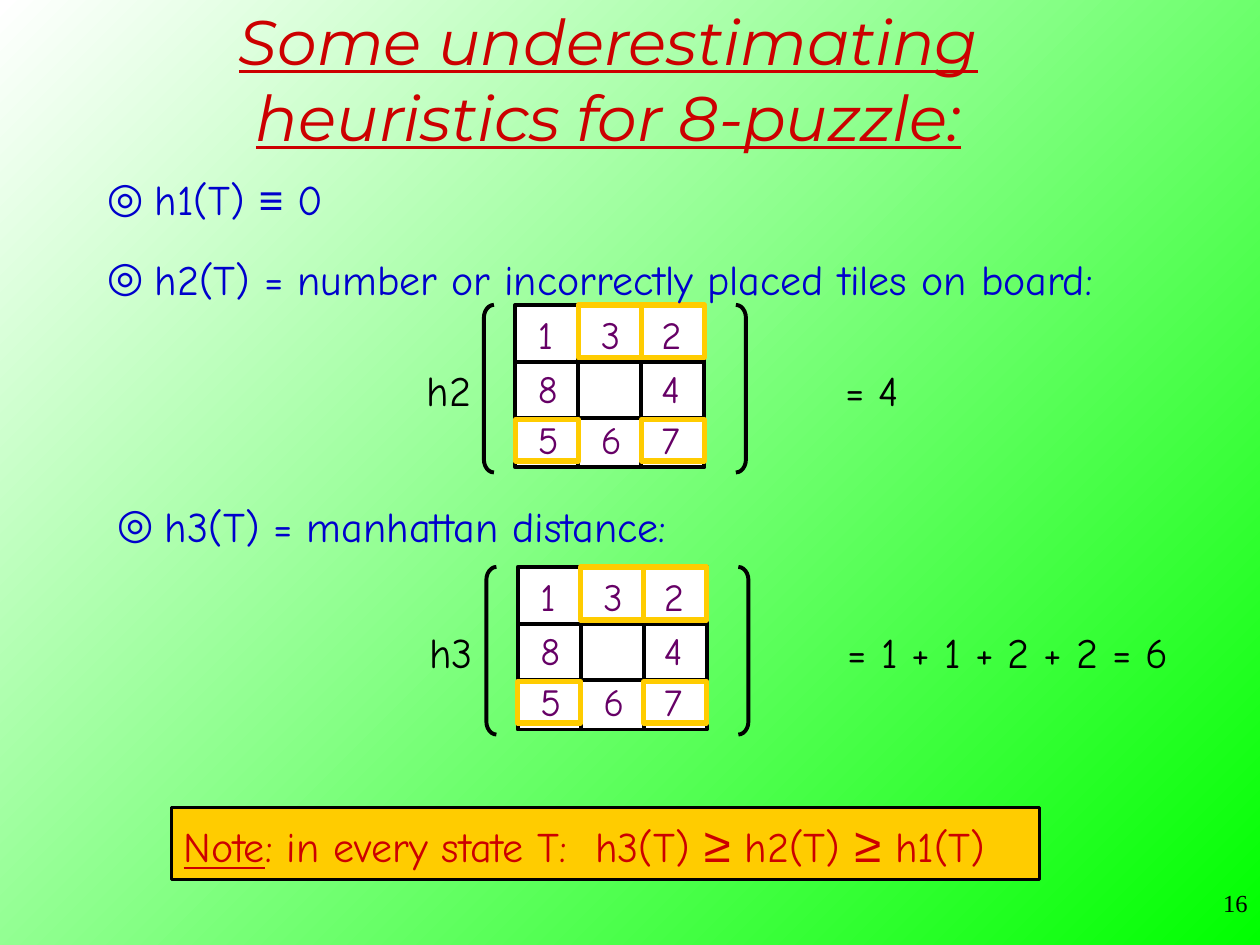
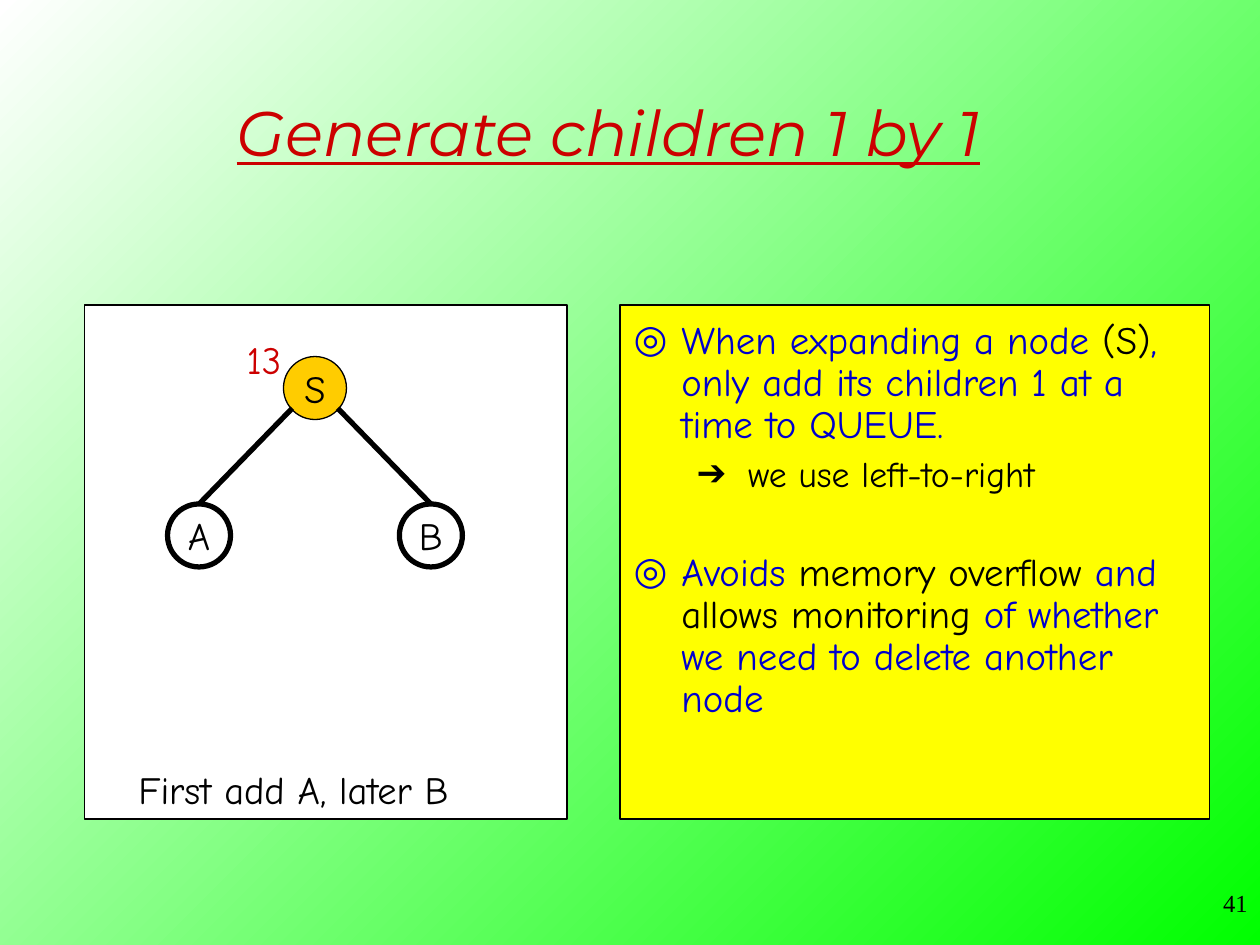
from dataclasses import dataclass
from pptx import Presentation
from pptx import util as u
from pptx.dml.color import RGBColor
from pptx.enum import shapes, text
from pptx.oxml import ns, xmlchemy

Inches, Pt = u.Inches, u.Pt


@dataclass(frozen=True)
class Theme:
    green: str = "00FF00"
    white: str = "FFFFFF"
    black: str = "000000"
    red: str = "CC0000"
    blue: str = "0000CC"
    purple: str = "660066"
    gold: str = "FFCC00"
    yellow: str = "FFFF00"
    title_font: str = "Montserrat"
    body_font: str = "Comic Neue"
    symbol_font: str = "Arial"
    number_font: str = "Times New Roman"
    title_size: float = 36
    body_size: float = 24
    symbol_size: float = 28
    label_size: float = 22
    panel_size: float = 22.2
    sub_size: float = 20.4
    number_size: float = 14


THEME = Theme()
SYMBOL = {"name": THEME.symbol_font}
LARGE_SYMBOL = {"name": THEME.symbol_font, "size": THEME.symbol_size}
BLACK = {"color": THEME.black}

HEURISTICS = [
    ((0.75, 1.33, 8.83, 0.5), 1.0, ["h1(T) ", ("≡", SYMBOL), " 0"]),
    ((0.75, 1.92, 8.83, 0.58), 1.1,
     ["h2(T) = number or incorrectly placed tiles on board:"]),
    ((0.83, 3.92, 8.83, 0.5), 1.0, ["h3(T) = manhattan distance:"]),
]
BOARDS = [
    (4.09, 2.42, "h2", "= 4", 0.8),
    (4.11, 4.5, "h3", "= 1 + 1 + 2 + 2 = 6", 3),
]
TILES = ["132", "8 4", "567"]
MISPLACED = [(0, 1), (0, 2), (2, 0), (2, 2)]
CELL_WIDTH, BOARD_HEIGHT = 0.5, 1.29
BOARD_WIDTH = 3 * CELL_WIDTH
ROW_LINES = (0.45, 0.9)
DIGIT_LEFTS, DIGIT_TOPS = (0.08, 0.58, 1.06), (0, 0.43, 0.83)
MARK_ROWS = {0: (0, 0.42), 2: (0.91, 0.33)}
NOTE = [("Note", {"underline": True}), ": in every state T:  h3(T) ",
        ("≥", LARGE_SYMBOL), " h2(T) ", ("≥", LARGE_SYMBOL), " h1(T)"]

NODE_SIZE = 0.5
ROOT = ("S", 2.25, 2.83)
CHILDREN = [("A", 1.33, 2.32), ("B", 3.17, 2.68)]
CHILD_TOP, EDGE_TOP = 4, 3.24
TREE_LABELS = [
    ("13", (1.86, 2.62, 0.6, 0.47), THEME.red),
    ("First add A, later B", (1, 6.03, 3, 0.47), THEME.black),
]
ADVICE = [
    ("◎", THEME.panel_size, THEME.blue, 0.38, 0.38, 0,
     ["When expanding a node ", ("(S)", BLACK),
      ", only add its children 1 at a time to QUEUE."]),
    ("➔", THEME.sub_size, THEME.black, 0.91, 0.41, 5.5,
     ["we use left-to-right"]),
    ("◎", THEME.panel_size, THEME.blue, 0.38, 0.38, 33,
     ["Avoids ", ("memory overflow", BLACK), " and ",
      ("allows monitoring", BLACK),
      " of whether we need to delete another node"]),
]


def style(font, name=None, size=None, color=None, underline=None, italic=None):
    if name:
        font.name = name
    if size:
        font.size = Pt(size)
    if color:
        font.color.rgb = RGBColor.from_string(color)
    if underline is not None:
        font.underline = underline
    if italic is not None:
        font.italic = italic


def write(paragraph, runs, **base):
    base = {"name": THEME.body_font, "color": THEME.black, **base}
    if all(isinstance(item, str) for item in runs):
        style(paragraph.font, **base)
    for item in runs:
        words, changes = (item, {}) if isinstance(item, str) else item
        run = paragraph.add_run()
        run.text = words
        if len(runs) > 1:
            style(run.font, **{**base, **changes})


def bullet(paragraph, mark, color, left, hanging):
    properties = paragraph._p.get_or_add_pPr()
    properties.set("marL", str(Inches(left)))
    properties.set("indent", str(-Inches(hanging)))
    bullet_color = xmlchemy.OxmlElement("a:buClr")
    rgb = xmlchemy.OxmlElement("a:srgbClr")
    rgb.set("val", color)
    bullet_color.append(rgb)
    font = xmlchemy.OxmlElement("a:buFont")
    font.set("typeface", THEME.body_font)
    character = xmlchemy.OxmlElement("a:buChar")
    character.set("char", mark)
    properties.extend([bullet_color, font, character])


def add_text(slide, box):
    frame = slide.shapes.add_textbox(*map(Inches, box)).text_frame
    frame.word_wrap = True
    return frame


def add_label(slide, box, words, **base):
    write(add_text(slide, box).paragraphs[0], [words], **base)


def add_shape(slide, kind, box, fill, line, width):
    shape = slide.shapes.add_shape(kind, *map(Inches, box))
    shape.shadow.inherit = False
    if fill:
        shape.fill.solid()
        shape.fill.fore_color.rgb = RGBColor.from_string(fill)
    else:
        shape.fill.background()
    shape.line.color.rgb = RGBColor.from_string(line)
    shape.line.width = Pt(width)
    return shape


def add_line(slide, start, end, width):
    line = slide.shapes.add_connector(
        shapes.MSO_CONNECTOR.STRAIGHT, *map(Inches, (*start, *end)))
    line.line.color.rgb = RGBColor.from_string(THEME.black)
    line.line.width = Pt(width)
    line._element.find(ns.qn("p:spPr")).append(
        xmlchemy.OxmlElement("a:effectLst"))
    return line


def add_slide(presentation, title, title_box, number):
    slide = presentation.slides.add_slide(presentation.slide_layouts[6])
    fill = slide.background.fill
    fill.gradient()
    fill.gradient_angle = 135
    for stop, color in zip(fill.gradient_stops, (THEME.green, THEME.white)):
        stop.color.rgb = RGBColor.from_string(color)
    frame = add_text(slide, title_box)
    frame.vertical_anchor = text.MSO_ANCHOR.MIDDLE
    paragraph = frame.paragraphs[0]
    paragraph.alignment = text.PP_ALIGN.CENTER
    write(paragraph, [title], name=THEME.title_font, size=THEME.title_size,
          color=THEME.red, underline=True, italic=True)
    paragraph = add_text(slide, (7.92, 7, 2.08, 0.5)).paragraphs[0]
    paragraph.alignment = text.PP_ALIGN.RIGHT
    write(paragraph, [number], name=THEME.number_font, size=THEME.number_size)
    return slide


def add_board(slide, left, top, name, value, value_width):
    for words, offset, width in ((name, -0.8, 0.7),
                                 (value, 2.52, value_width)):
        add_label(slide, (left + offset, top + 0.42, width, 0.5), words,
                  size=THEME.body_size)
    for kind, offset in ((shapes.MSO_SHAPE.LEFT_BRACKET, -0.25),
                         (shapes.MSO_SHAPE.RIGHT_BRACKET, 1.75)):
        bracket = add_shape(slide, kind, (left + offset, top, 0.08, 1.33),
                            None, THEME.black, 2.25)
        bracket.adjustments[0] = 1.3
    add_shape(slide, shapes.MSO_SHAPE.RECTANGLE,
              (left, top, BOARD_WIDTH, BOARD_HEIGHT),
              THEME.white, THEME.black, 2.25)
    for column in (1, 2):
        x = left + column * CELL_WIDTH
        add_line(slide, (x, top), (x, top + BOARD_HEIGHT), 2.25)
    for offset in ROW_LINES:
        add_line(slide, (left, top + offset),
                 (left + BOARD_WIDTH, top + offset), 2.25)
    for row, digits in zip(DIGIT_TOPS, TILES):
        for column, digit in zip(DIGIT_LEFTS, digits):
            if digit != " ":
                add_label(slide, (left + column, top + row, 0.4, 0.47), digit,
                          size=THEME.label_size, color=THEME.purple)
    for row, column in MISPLACED:
        offset, height = MARK_ROWS[row]
        add_shape(slide, shapes.MSO_SHAPE.RECTANGLE,
                  (left + column * CELL_WIDTH, top + offset,
                   CELL_WIDTH, height), None, THEME.gold, 3)


def add_node(slide, name, left, top, fill, width):
    node = add_shape(slide, shapes.MSO_SHAPE.OVAL,
                     (left, top, NODE_SIZE, NODE_SIZE),
                     fill, THEME.black, width)
    node.text_frame.word_wrap = False
    paragraph = node.text_frame.paragraphs[0]
    paragraph.alignment = text.PP_ALIGN.CENTER
    write(paragraph, [name], size=THEME.label_size)
    return node


def build_heuristics(presentation):
    slide = add_slide(presentation,
                      "Some underestimating heuristics for 8-puzzle:",
                      (0.58, 0.08, 8.5, 1.08), "16")
    for board in BOARDS:
        add_board(slide, *board)
    for box, spacing, runs in HEURISTICS:
        paragraph = add_text(slide, box).paragraphs[0]
        bullet(paragraph, "◎", THEME.blue, 0.38, 0.38)
        paragraph.line_spacing = spacing
        write(paragraph, runs, size=THEME.body_size, color=THEME.blue)
    note = add_shape(slide, shapes.MSO_SHAPE.RECTANGLE,
                     (1.36, 6.41, 6.89, 0.57), THEME.gold, THEME.black, 1.5)
    note.text_frame.vertical_anchor = text.MSO_ANCHOR.TOP
    paragraph = note.text_frame.paragraphs[0]
    paragraph.alignment = text.PP_ALIGN.LEFT
    write(paragraph, NOTE, size=THEME.body_size, color=THEME.red)


def build_children(presentation):
    slide = add_slide(presentation, "Generate children 1 by 1",
                      (0.58, 0.42, 8.5, 1.25), "41")
    for left, width, fill in ((4.92, 4.68, THEME.yellow),
                              (0.67, 3.83, THEME.white)):
        add_shape(slide, shapes.MSO_SHAPE.RECTANGLE,
                  (left, 2.42, width, 4.08), fill, THEME.black, 0.75)
    frame = add_text(slide, (4.93, 2.5, 4.75, 3.75))
    for index, (mark, size, color, left, hanging, before, runs) in enumerate(
            ADVICE):
        paragraph = frame.add_paragraph() if index else frame.paragraphs[0]
        bullet(paragraph, mark, color, left, hanging)
        paragraph.line_spacing = 0.9
        if index:
            paragraph.space_before = Pt(before)
        write(paragraph, runs, size=size, color=color)
    add_node(slide, *ROOT, THEME.gold, 0.75)
    for words, box, color in TREE_LABELS:
        add_label(slide, box, words, size=THEME.label_size, color=color)
    for name, left, edge_left in CHILDREN:
        child = add_node(slide, name, left, CHILD_TOP, THEME.white, 3)
        edge = add_line(slide, (edge_left, EDGE_TOP),
                        (left + NODE_SIZE / 2, CHILD_TOP), 3)
        edge.end_connect(child, 0)


def main():
    presentation = Presentation()
    presentation.slide_width = Inches(10)
    presentation.slide_height = Inches(7.5)
    build_heuristics(presentation)
    build_children(presentation)
    presentation.save("out.pptx")


if __name__ == "__main__":
    main()
